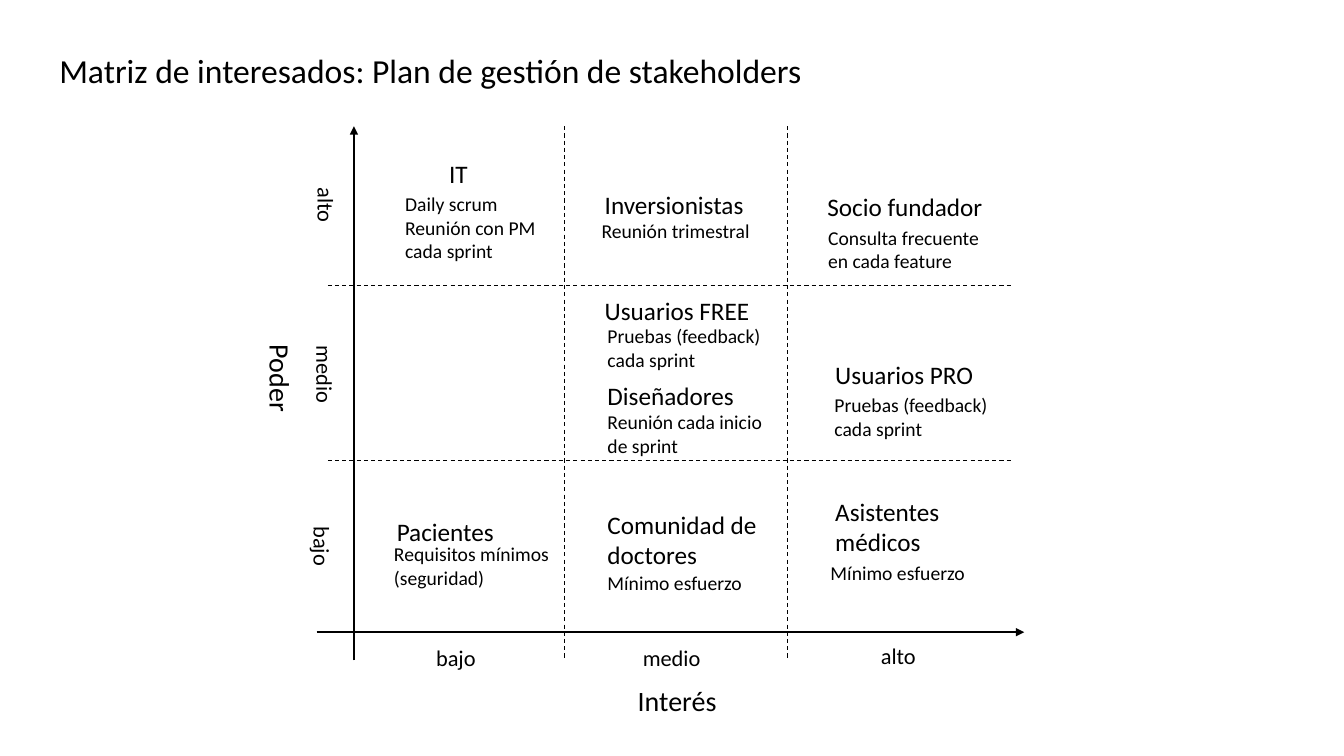
from dataclasses import dataclass

from lxml import etree
from pptx import Presentation
from pptx.dml.color import RGBColor
from pptx.enum.dml import MSO_LINE
from pptx.enum.shapes import MSO_CONNECTOR
from pptx.enum.text import MSO_ANCHOR, MSO_AUTO_SIZE, PP_ALIGN
from pptx.oxml.ns import qn
from pptx.shapes.autoshape import Shape
from pptx.slide import Slide
from pptx.util import Cm, Pt

BLACK = RGBColor(0, 0, 0)
FONT = "Calibri"
STRAIGHT = MSO_CONNECTOR.STRAIGHT
DASH = MSO_LINE.DASH
TOP = MSO_ANCHOR.TOP
LEFT = PP_ALIGN.LEFT
FIT_SHAPE = MSO_AUTO_SIZE.SHAPE_TO_FIT_TEXT
TITLE_ONLY = 5

# Sizes in points, lengths in centimetres
NAME_SIZE, NOTE_SIZE, LEVEL_SIZE, AXIS_SIZE = 18, 14, 16, 20
NAME_WIDTH, NOTE_WIDTH, LEVEL_WIDTH = 5.21, 4.83, 1.98
LINE_PER_POINT = 2.54 * 1.2 / 72
PADDING = 0.25


@dataclass(frozen=True)
class Label:
    text: str
    left: float
    top: float
    lines: int = 1


@dataclass(frozen=True)
class Stakeholder:
    name: Label
    note: Label


@dataclass(frozen=True)
class Rule:
    start: tuple[float, float]
    end: tuple[float, float]
    is_axis: bool = False


RULES = [
    Rule((8.92, 16.64), (8.92, 3.18), is_axis=True),
    Rule((7.98, 15.93), (25.81, 15.93), is_axis=True),
    *(Rule((x, 3.18), (x, 16.64)) for x in (14.22, 19.84)),
    *(Rule((8.26, y), (25.48, y)) for y in (7.19, 11.61)),
]

STAKEHOLDERS = [
    Stakeholder(Label("IT", 11.07, 3.86),
                Label("Daily scrum\nReunión con PM cada sprint", 9.96, 4.72, 3)),
    Stakeholder(Label("Inversionistas", 14.99, 4.65),
                Label("Reunión trimestral", 14.91, 5.38)),
    Stakeholder(Label("Socio fundador", 20.6, 4.7),
                Label("Consulta frecuente en cada feature", 20.62, 5.56, 2)),
    Stakeholder(Label("Usuarios FREE", 14.99, 7.32),
                Label("Pruebas (feedback) cada sprint", 15.06, 8.05, 2)),
    Stakeholder(Label("Diseñadores", 15.06, 9.47),
                Label("Reunión cada inicio de sprint", 15.06, 10.21, 2)),
    Stakeholder(Label("Usuarios PRO", 20.8, 8.94),
                Label("Pruebas (feedback) cada sprint", 20.78, 9.78, 2)),
    Stakeholder(Label("Pacientes", 9.75, 12.88),
                Label("Requisitos mínimos (seguridad)", 9.68, 13.54, 2)),
    Stakeholder(Label("Comunidad de doctores", 15.06, 12.7, 2),
                Label("Mínimo esfuerzo", 15.06, 14.27)),
    Stakeholder(Label("Asistentes médicos", 20.8, 12.37, 2),
                Label("Mínimo esfuerzo", 20.68, 14.02)),
]

INTEREST_LEVELS = [Label("bajo", 10.74, 16.1), Label("medio", 15.95, 16.1),
                   Label("alto", 21.95, 16.05)]
POWER_LEVELS = [Label("bajo", 7.14, 13.54), Label("medio", 7.21, 8.99),
                Label("alto", 7.24, 5)]


def text_height(size: float, lines: int) -> float:
    return PADDING + lines * size * LINE_PER_POINT


def write_text(box: Shape, text: str, *, size: float) -> None:
    frame = box.text_frame
    frame.text = text
    frame.word_wrap = True
    frame.auto_size = FIT_SHAPE
    frame.vertical_anchor = TOP
    for para in frame.paragraphs:
        para.alignment = LEFT
        para.font.name = FONT
        para.font.size = Pt(size)
        para.font.color.rgb = BLACK


def add_label(page: Slide, label: Label, *, width: float, size: float,
              rotation: float = 0) -> None:
    box = page.shapes.add_textbox(Cm(label.left), Cm(label.top), Cm(width),
                                  Cm(text_height(size, label.lines)))
    box.rotation = rotation
    write_text(box, label.text, size=size)


def add_rule(page: Slide, rule: Rule) -> None:
    (x1, y1), (x2, y2) = rule.start, rule.end
    connector = page.shapes.add_connector(STRAIGHT, Cm(x1), Cm(y1), Cm(x2), Cm(y2))
    line = connector.line
    line.color.rgb = BLACK
    line.width = Pt(1.5 if rule.is_axis else 0.75)
    properties = connector.element.spPr
    if rule.is_axis:
        etree.SubElement(properties.find(qn("a:ln")), qn("a:tailEnd"), type="triangle")
    else:
        line.dash_style = DASH
    etree.SubElement(properties, qn("a:effectLst"))


def add_title(page: Slide, text: str) -> None:
    title = page.shapes.title
    title.left, title.top = Cm(1.24), Cm(1.14)
    title.width, title.height = Cm(22.94), Cm(text_height(24, 1))
    write_text(title, text, size=24)


def main() -> None:
    deck = Presentation()
    deck.slide_width, deck.slide_height = Cm(33.87), Cm(19.05)
    page = deck.slides.add_slide(deck.slide_layouts[TITLE_ONLY])
    add_title(page, "Matriz de interesados: Plan de gestión de stakeholders")

    # Axes and grid
    for rule in RULES:
        add_rule(page, rule)

    # Axis names and levels
    add_label(page, Label("Poder", 4.47, 10.49), width=NAME_WIDTH, size=AXIS_SIZE,
              rotation=90)
    add_label(page, Label("Interés", 15.82, 17.09), width=NAME_WIDTH, size=AXIS_SIZE)
    for levels, rotation in ((INTEREST_LEVELS, 0), (POWER_LEVELS, 90)):
        for level in levels:
            add_label(page, level, width=LEVEL_WIDTH, size=LEVEL_SIZE, rotation=rotation)

    # Stakeholders with their management plan
    for stakeholder in STAKEHOLDERS:
        add_label(page, stakeholder.name, width=NAME_WIDTH, size=NAME_SIZE)
        add_label(page, stakeholder.note, width=NOTE_WIDTH, size=NOTE_SIZE)

    deck.save("out.pptx")


if __name__ == "__main__":
    main()
